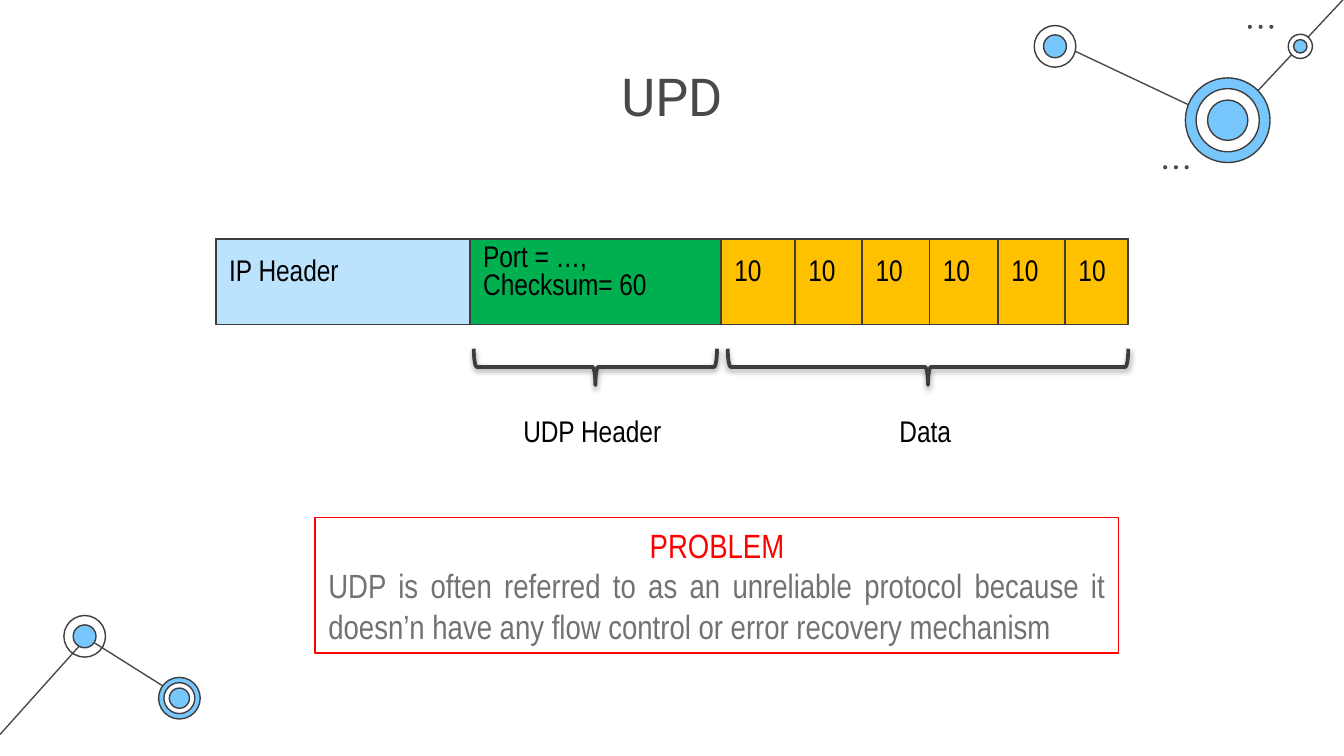
from pptx import Presentation
from pptx.dml.color import RGBColor
from pptx.enum.shapes import MSO_CONNECTOR, MSO_SHAPE as SHAPE
from pptx.enum.text import MSO_ANCHOR as ANCHOR, PP_ALIGN as ALIGN
from pptx.oxml import parse_xml
from pptx.oxml.ns import nsdecls
from pptx.util import Pt

PX = 4572
THEME = {
    "ink": "3D3D3D", "gray": "494949", "black": "000000", "white": "FFFFFF",
    "sky": "77C6FC", "pale": "BBE3FE", "green": "00B050", "amber": "FFC000",
    "red": "FF0000", "body": "727272",
    "title_font": "Roboto", "font": "Arial Narrow",
    "title": 28, "label": 16, "note": 18, "hair": 0.75, "brace": 2,
}


def color(name):
    return RGBColor.from_string(THEME[name])


def write(frame, text, size="label", ink="black", font="font", align=ALIGN.LEFT,
          spacing=None, more=False):
    frame.word_wrap = True
    line = frame.add_paragraph() if more else frame.paragraphs[0]
    line.alignment = align
    line.line_spacing = spacing
    run = line.add_run()
    run.text = text
    run.font.size = Pt(THEME[size])
    run.font.name = THEME[font]
    run.font.color.rgb = color(ink)


prs = Presentation()
prs.slide_width, prs.slide_height = 2000 * PX, 1125 * PX
slide = prs.slides.add_slide(prs.slide_layouts[6])
shapes = slide.shapes

links = [(130, 950, 276, 1042), (0, 1093, 130, 948),
         (1828, 184, 1574, 64), (2000, -2, 1828, 182)]
for ends in links:
    link = shapes.add_connector(MSO_CONNECTOR.STRAIGHT, *[end * PX for end in ends])
    link.line.color.rgb = color("gray")
    link.line.width = Pt(THEME["hair"])
    link._element.spPr.append(parse_xml(f"<a:effectLst {nsdecls('a')}/>"))

nodes = [
    (126, 947, [(62, None), (34, "sky")]),
    (267, 1039, [(62, "sky"), (46, "white"), (30, "sky")]),
    (1827, 179, [(126, "sky"), (94, "white"), (60, "sky")]),
    (1570, 69, [(62, "white"), (34, "sky")]),
    (1935, 69, [(36, "white"), (20, "sky")]),
]
for x, y, rings in nodes:
    for size, fill in rings:
        ring = shapes.add_shape(SHAPE.OVAL, (x - size // 2) * PX, (y - size // 2) * PX,
                                size * PX, size * PX)
        ring.shadow.inherit = False
        if fill:
            ring.fill.solid()
            ring.fill.fore_color.rgb = color(fill)
        else:
            ring.fill.background()
        ring.line.color.rgb = color("ink")
        ring.line.width = Pt(THEME["hair"])

for left, top in [(1857, 37), (1731, 246)]:
    for step in range(3):
        dot = shapes.add_shape(SHAPE.OVAL, (left + 16 * step) * PX, top * PX, 6 * PX, 6 * PX)
        dot.shadow.inherit = False
        dot.fill.solid()
        dot.fill.fore_color.rgb = color("gray")
        dot.line.fill.background()

title = shapes.add_textbox(483 * PX, 75 * PX, 1034 * PX, 126 * PX).text_frame
title.margin_left = title.margin_right = title.margin_top = title.margin_bottom = 20 * PX
write(title, "UPD", size="title", ink="gray", font="title_font", align=ALIGN.CENTER)

fields = [("IP Header", 378, "pale", 1.5), ("Port = …, Checksum= 60", 374, "green", None)]
fields += [("10", width, "amber", 1.5) for width in (110, 100, 100, 102, 100, 94)]
packet = shapes.add_table(1, len(fields), 321 * PX, 356 * PX, 1358 * PX, 126 * PX).table
for col, (text, width, fill, spacing) in enumerate(fields):
    packet.columns[col].width = width * PX
    cell = packet.cell(0, col)
    write(cell.text_frame, text, spacing=spacing)
    for side in "LRTB":
        cell._tc.get_or_add_tcPr().append(parse_xml(
            f'<a:ln{side} {nsdecls("a")} w="{Pt(1)}"><a:solidFill>'
            f'<a:srgbClr val="{THEME["ink"]}"/></a:solidFill></a:ln{side}>'))
    cell.fill.solid()
    cell.fill.fore_color.rgb = color(fill)

for left, top, length in [(859, 365, 362), (1354, 248, 596)]:
    brace = shapes.add_shape(SHAPE.LEFT_BRACE, left * PX, top * PX, 54 * PX, length * PX)
    brace.rotation = 270
    brace.fill.background()
    brace.line.color.rgb = color("ink")
    brace.line.width = Pt(THEME["brace"])
    brace.shadow.inherit = False
    brace._element.spPr.find("{*}effectLst").append(parse_xml(
        f'<a:outerShdw {nsdecls("a")} blurRad="40000" dist="20000" dir="5400000" rotWithShape="0">'
        f'<a:srgbClr val="{THEME["black"]}"><a:alpha val="38000"/></a:srgbClr></a:outerShdw>'))

for text, left, width, align in [("UDP Header", 759, 296, ALIGN.LEFT),
                                 ("Data ", 1142, 480, ALIGN.CENTER)]:
    caption = shapes.add_textbox(left * PX, 604 * PX, width * PX, 74 * PX)
    write(caption.text_frame, text, align=align)

problem = shapes.add_shape(SHAPE.RECTANGLE, 469 * PX, 770 * PX, 1196 * PX, 202 * PX)
problem.shadow.inherit = False
problem.fill.background()
problem.line.color.rgb = color("red")
problem.line.width = Pt(THEME["hair"])
problem.text_frame.vertical_anchor = ANCHOR.MIDDLE
write(problem.text_frame, "PROBLEM", size="note", ink="red", align=ALIGN.CENTER)
write(problem.text_frame, "UDP is often referred to as an unreliable protocol because it "
      "doesn’n have any flow control or error recovery mechanism",
      size="note", ink="body", align=ALIGN.JUSTIFY, more=True)

prs.save("out.pptx")
